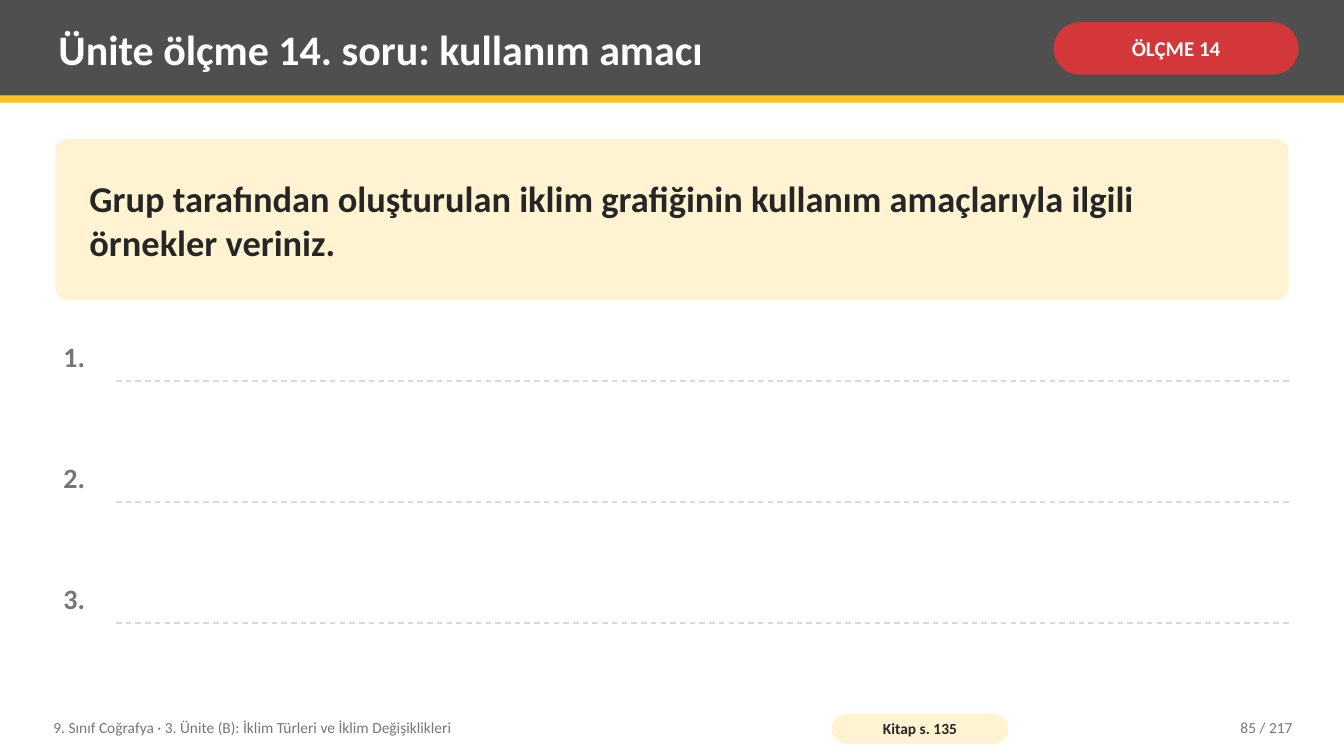
"""Build the unit assessment slide for question 14 with three answer lines."""
import pptx
import pptx.util
import pptx.dml.color
import pptx.enum.dml
import pptx.enum.shapes
import pptx.enum.text

TITLE = "Ünite ölçme 14. soru: kullanım amacı"
BADGE = "ÖLÇME 14"
QUESTION = "Grup tarafından oluşturulan iklim grafiğinin kullanım amaçlarıyla ilgili örnekler veriniz."
ANSWERS = ["1.", "2.", "3."]
COURSE = "9. Sınıf Coğrafya · 3. Ünite (B): İklim Türleri ve İklim Değişiklikleri"
BOOK_PAGE = "Kitap s. 135"
PAGE = "85 / 217"

COLORS = {
    "header": "4F4F4F", "gold": "FCC021", "red": "D3373A", "cream": "FFF3D1",
    "white": "FFFFFF", "ink": "262626", "muted": "767676", "rule": "D9D9D9",
}
FONT = "Calibri"
WIDTH, HEIGHT = 13.33, 7.5
MARGIN = 0.55
CONTENT_WIDTH = WIDTH - 2 * MARGIN
HEADER_HEIGHT = 0.95
ANSWER_TOP, ANSWER_STEP, ANSWER_HEIGHT = 3.33, 1.2, 0.45
RULE_INDENT = 0.6
FOOTER_TOP, FOOTER_HEIGHT = 7.04, 0.36

ALIGN = pptx.enum.text.PP_ALIGN
ANCHOR = pptx.enum.text.MSO_ANCHOR
SHAPE = pptx.enum.shapes.MSO_SHAPE
Inches = pptx.util.Inches


def rgb(name):
    return pptx.dml.color.RGBColor.from_string(COLORS[name])


def add_panel(slide, box, color, radius=None):
    kind = SHAPE.RECTANGLE if radius is None else SHAPE.ROUNDED_RECTANGLE
    panel = slide.shapes.add_shape(kind, *map(Inches, box))
    if radius is not None:
        panel.adjustments[0] = radius
    panel.shadow.inherit = False
    panel.fill.solid()
    panel.fill.fore_color.rgb = rgb(color)
    panel.line.fill.background()
    return panel


def write(holder, text, size, color, bold=False, align=ALIGN.LEFT,
          anchor=ANCHOR.MIDDLE, inset=(0.08, 0.04)):
    frame = holder.text_frame
    frame.word_wrap = True
    frame.vertical_anchor = anchor
    frame.margin_left = frame.margin_right = Inches(inset[0])
    frame.margin_top = frame.margin_bottom = Inches(inset[1])
    paragraph = frame.paragraphs[0]
    paragraph.alignment = align
    run = paragraph.add_run()
    run.text = text
    run.font.name = FONT
    run.font.size = pptx.util.Pt(size)
    run.font.bold = bold
    run.font.color.rgb = rgb(color)


def add_label(slide, box, text, **style):
    write(slide.shapes.add_textbox(*map(Inches, box)), text, **style)


def add_answer_rule(slide, y):
    rule = slide.shapes.add_connector(
        pptx.enum.shapes.MSO_CONNECTOR.STRAIGHT,
        Inches(MARGIN + RULE_INDENT), Inches(y), Inches(WIDTH - MARGIN), Inches(y))
    rule.line.color.rgb = rgb("rule")
    rule.line.width = pptx.util.Pt(1)
    rule.line.dash_style = pptx.enum.dml.MSO_LINE.DASH
    properties = rule.element.spPr
    properties.append(properties.makeelement(pptx.oxml.ns.qn("a:effectLst"), {}))


def main():
    deck = pptx.Presentation()
    deck.slide_width, deck.slide_height = Inches(WIDTH), Inches(HEIGHT)
    slide = deck.slides.add_slide(deck.slide_layouts[6])
    slide.background.fill.solid()
    slide.background.fill.fore_color.rgb = rgb("white")

    add_panel(slide, (0, 0, WIDTH, HEADER_HEIGHT), "header")
    add_panel(slide, (0, HEADER_HEIGHT, WIDTH, 0.07), "gold")
    add_label(slide, (0.5, 0.07, 9.75, 0.82), TITLE, size=30, color="white", bold=True)
    badge = add_panel(slide, (10.45, 0.22, 2.43, 0.52), "red", radius=0.5)
    write(badge, BADGE, size=15, color="white", bold=True, align=ALIGN.CENTER, inset=(0.05, 0.02))

    question = add_panel(slide, (MARGIN, 1.38, CONTENT_WIDTH, 1.6), "cream", radius=0.08)
    write(question, QUESTION, size=26, color="ink", bold=True, inset=(0.3, 0.08))

    for row, number in enumerate(ANSWERS):
        top = ANSWER_TOP + row * ANSWER_STEP
        add_label(slide, (MARGIN, top, 0.5, ANSWER_HEIGHT), number,
                  size=20, color="muted", bold=True, anchor=ANCHOR.TOP)
        add_answer_rule(slide, top + ANSWER_HEIGHT)

    add_label(slide, (0.45, FOOTER_TOP, 7.6, FOOTER_HEIGHT), COURSE, size=11, color="muted")
    book_page = add_panel(slide, (8.25, 7.08, 1.75, 0.3), "cream", radius=0.5)
    write(book_page, BOOK_PAGE, size=11, color="ink", bold=True, align=ALIGN.CENTER, inset=(0.04, 0))
    add_label(slide, (11.3, FOOTER_TOP, 1.6, FOOTER_HEIGHT), PAGE,
              size=11, color="muted", align=ALIGN.RIGHT)

    deck.save("out.pptx")


if __name__ == "__main__":
    main()
